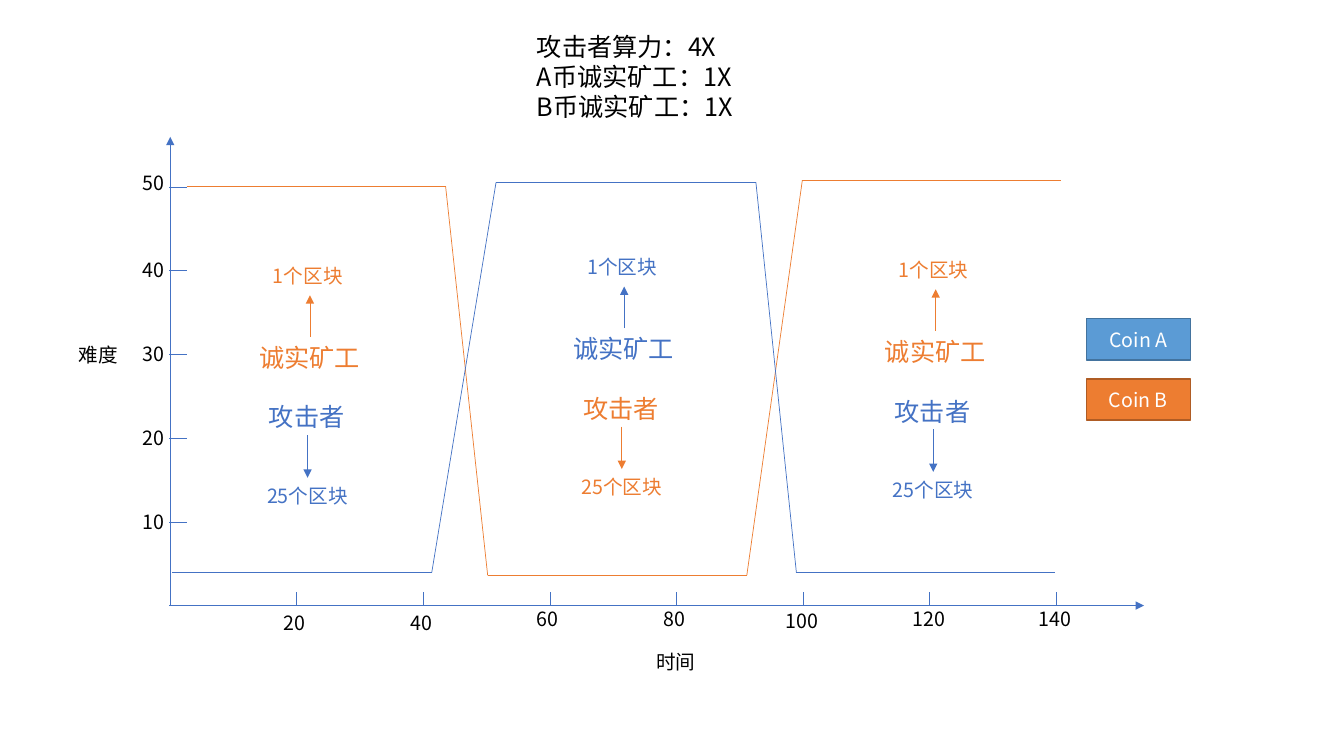
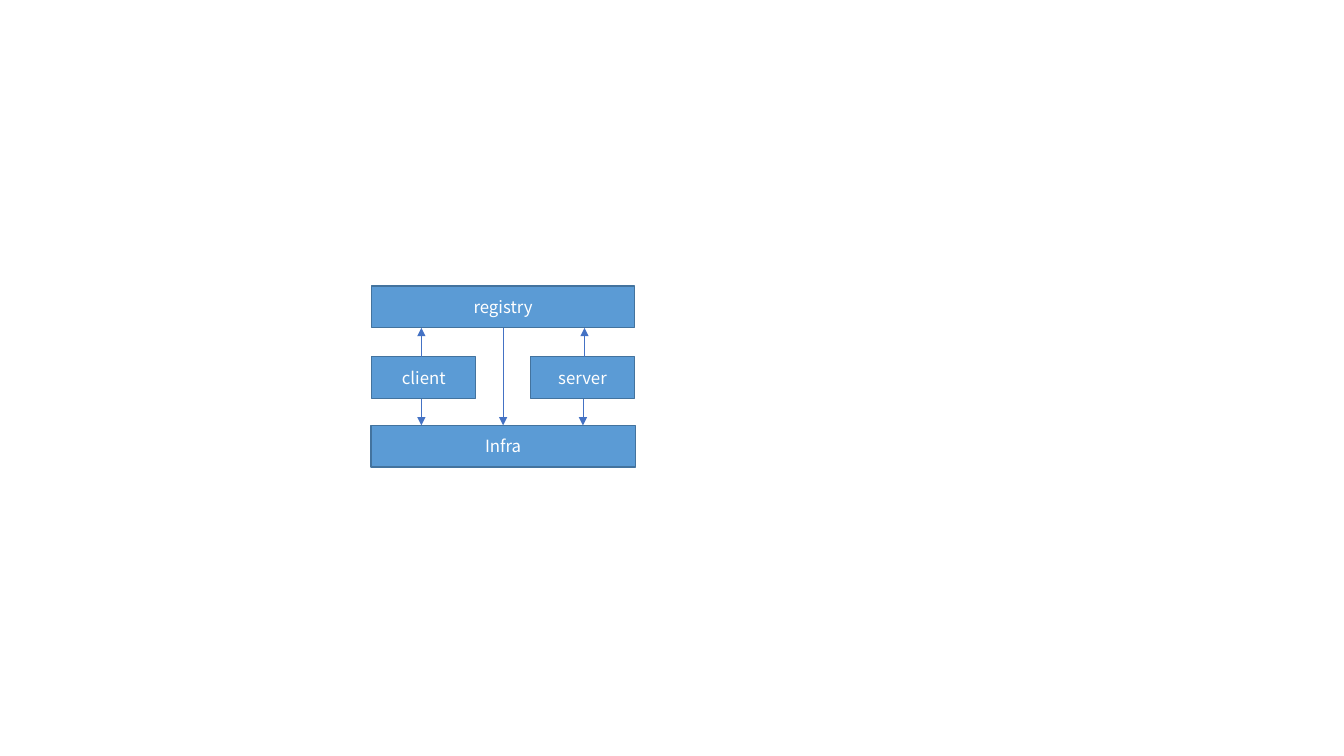
import dataclasses
import lxml.etree
import pptx
import pptx.dml.color
import pptx.enum.shapes
import pptx.enum.text
import pptx.oxml.ns
import pptx.util

Cm = pptx.util.Cm
Pt = pptx.util.Pt
RGB = pptx.dml.color.RGBColor.from_string
qn = pptx.oxml.ns.qn
Align = pptx.enum.text.PP_ALIGN


@dataclasses.dataclass(frozen=True)
class Theme:
    font: str = "Noto Sans CJK SC"
    black: str = "000000"
    white: str = "FFFFFF"
    blue: str = "4472C4"
    orange: str = "ED7D31"
    sky: str = "5B9BD5"
    navy: str = "43739E"
    rust: str = "AF5C24"
    large: int = 18
    mid: int = 14
    small: int = 12
    thin: float = 0.5
    edge: float = 1


theme = Theme()


def note(slide, area, lines, size, color, align=Align.LEFT, fill=None, edge=None):
    place = [Cm(v) for v in area]
    if fill:
        shape = slide.shapes.add_shape(pptx.enum.shapes.MSO_SHAPE.RECTANGLE, *place)
        shape.shadow.inherit = False
        shape.fill.solid()
        shape.fill.fore_color.rgb = RGB(fill)
        shape.line.color.rgb = RGB(edge)
        shape.line.width = Pt(theme.edge)
        shape.text_frame.vertical_anchor = pptx.enum.text.MSO_ANCHOR.MIDDLE
    else:
        shape = slide.shapes.add_textbox(*place)
        shape.text_frame.auto_size = pptx.enum.text.MSO_AUTO_SIZE.SHAPE_TO_FIT_TEXT
    frame = shape.text_frame
    frame.word_wrap = True
    for i, text in enumerate(lines):
        para = frame.add_paragraph() if i else frame.paragraphs[0]
        para.alignment = align
        run = para.add_run()
        run.text = text
        run.font.size = Pt(size)
        run.font.color.rgb = RGB(color)
        run.font.name = theme.font
        east = lxml.etree.SubElement(run.font._element, qn("a:ea"))
        east.set("typeface", theme.font)


def link(slide, start, end, color, arrow=False):
    line = slide.shapes.add_connector(
        pptx.enum.shapes.MSO_CONNECTOR.STRAIGHT, *[Cm(v) for v in (*start, *end)])
    line.line.color.rgb = RGB(color)
    line.line.width = Pt(theme.thin)
    if arrow:
        tail = lxml.etree.SubElement(line.line._get_or_add_ln(), qn("a:tailEnd"))
        tail.set("type", "triangle")
    lxml.etree.SubElement(line._element.spPr, qn("a:effectLst"))


deck = pptx.Presentation()
deck.slide_width = Cm(33.87)
deck.slide_height = Cm(19.05)
blank = deck.slide_layouts[6]

chart = deck.slides.add_slide(blank)
note(chart, (13.28, 0.66, 5.49, 2.57),
     ["攻击者算力：4X", "A币诚实矿工：1X", "B币诚实矿工：1X"], theme.large, theme.black)

left, base = 4.29, 15.26
wide, tall = 3.19, 2.11
link(chart, (left, base), (28.83, base), theme.blue, True)
link(chart, (left, base), (left, 3.45), theme.blue, True)
for i in range(8):
    x = left + i * wide
    link(chart, (x, base - 0.33), (x, base), theme.blue)
for i in range(6):
    y = base - i * tall
    link(chart, (left + 0.41, y), (left - 0.02, y), theme.blue)

tops = [15.27, 15.27, 15.16, 15.16, 15.21, 15.16, 15.16]
for i, top in enumerate(tops, 1):
    width, shift = (1.14, 0.58) if i < 5 else (1.5, 0.69)
    note(chart, (left + i * wide - shift, top, width, 0.86),
         [str(20 * i)], theme.mid, theme.black)
tops = [12.72, 10.6, 8.49, 6.38, 4.17]
for i, top in enumerate(tops, 1):
    note(chart, (3.34, top, 1.14, 0.86), [str(10 * i)], theme.mid, theme.black)
for x, y, text in [(16.18, 16.26, "时间"), (1.63, 8.51, "难度")]:
    note(chart, (x, y, 1.7, 0.86), [text], theme.mid, theme.black, Align.CENTER)

curves = [
    (theme.orange, [(4.7, 4.7), (11.23, 4.7), (12.29, 14.5),
                    (18.82, 14.5), (20.22, 4.54), (26.75, 4.54)]),
    (theme.blue, [(4.34, 14.43), (10.88, 14.43), (12.5, 4.6),
                  (19.05, 4.6), (20.07, 14.43), (26.59, 14.43)]),
]
for color, points in curves:
    for start, end in zip(points, points[1:]):
        link(chart, start, end, color)

legend = [(8.03, "Coin A", theme.sky, theme.navy),
          (9.55, "Coin B", theme.orange, theme.rust)]
for y, text, fill, edge in legend:
    note(chart, (27.38, y, 2.62, 1.04), [text], theme.mid, theme.white,
         Align.CENTER, fill, edge)

phases = [(7.75, 10.97, theme.blue, theme.orange),
          (15.67, 10.75, theme.orange, theme.blue),
          (23.52, 10.82, theme.blue, theme.orange)]
for x, y, foe, fair in phases:
    note(chart, (x - 1.22, y - 0.97, 2.44, 1.02), ["攻击者"], theme.large, foe)
    link(chart, (x, y), (x, y + 1.07), foe, True)
    note(chart, (x - 1.27, y + 1.1, 2.54, 0.86), ["25个区块"],
         theme.mid, foe, Align.CENTER)
    note(chart, (x - 1.47, y - 2.48, 3.07, 1.02), ["诚实矿工"], theme.large, fair)
    link(chart, (x + 0.06, y - 2.48), (x + 0.06, y - 3.53), fair, True)
    note(chart, (x - 1.12, y - 4.45, 2.26, 0.86), ["1个区块"],
         theme.mid, fair, Align.CENTER)

stack = deck.slides.add_slide(blank)
parts = [("registry", 9.37, 7.21, 6.62), ("server", 13.37, 8.99, 2.62),
         ("client", 9.37, 8.99, 2.62), ("Infra", 9.35, 10.72, 6.66)]
for text, x, y, width in parts:
    note(stack, (x, y, width, 1.05), [text], theme.small, theme.white,
         Align.CENTER, theme.sky, theme.navy)
flows = [(10.62, 8.99, 8.26), (14.73, 8.99, 8.26), (12.68, 8.26, 10.72),
         (14.69, 10.06, 10.72), (10.62, 10.06, 10.72)]
for x, start, end in flows:
    link(stack, (x, start), (x, end), theme.blue, True)

deck.save("out.pptx")
